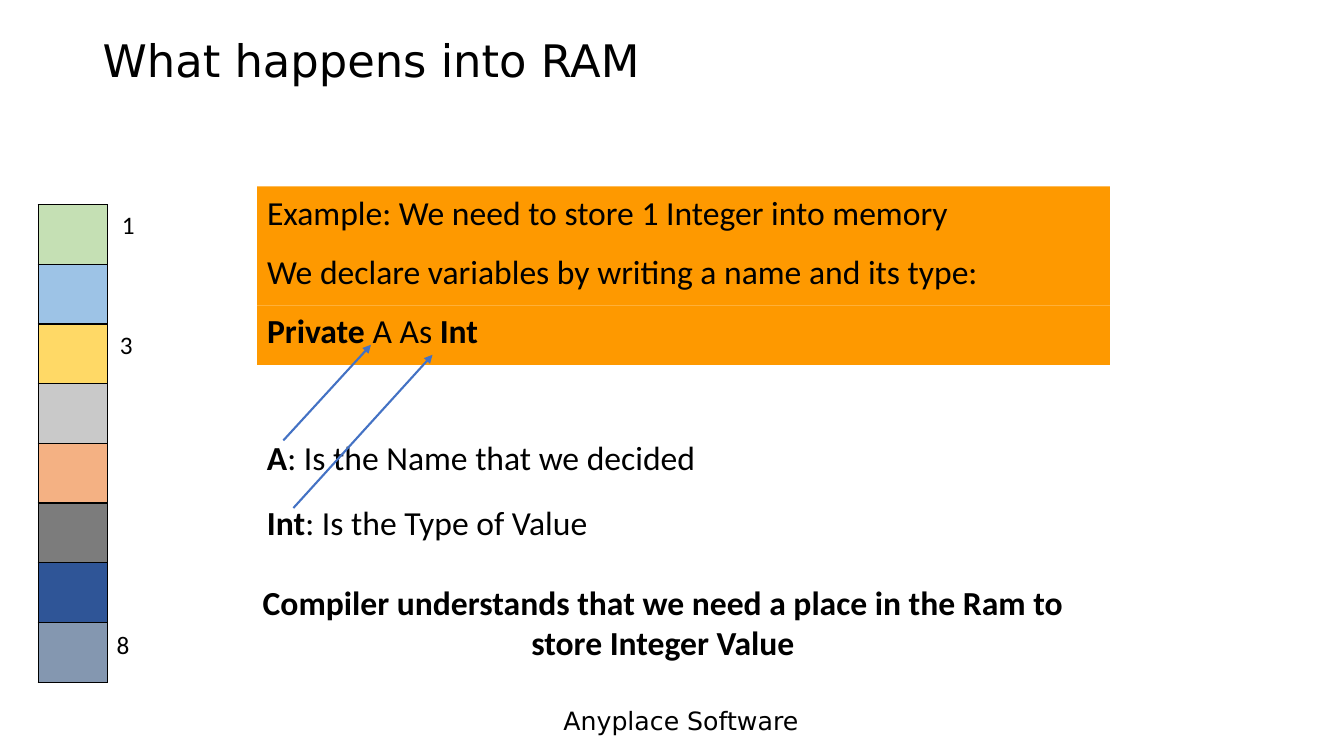
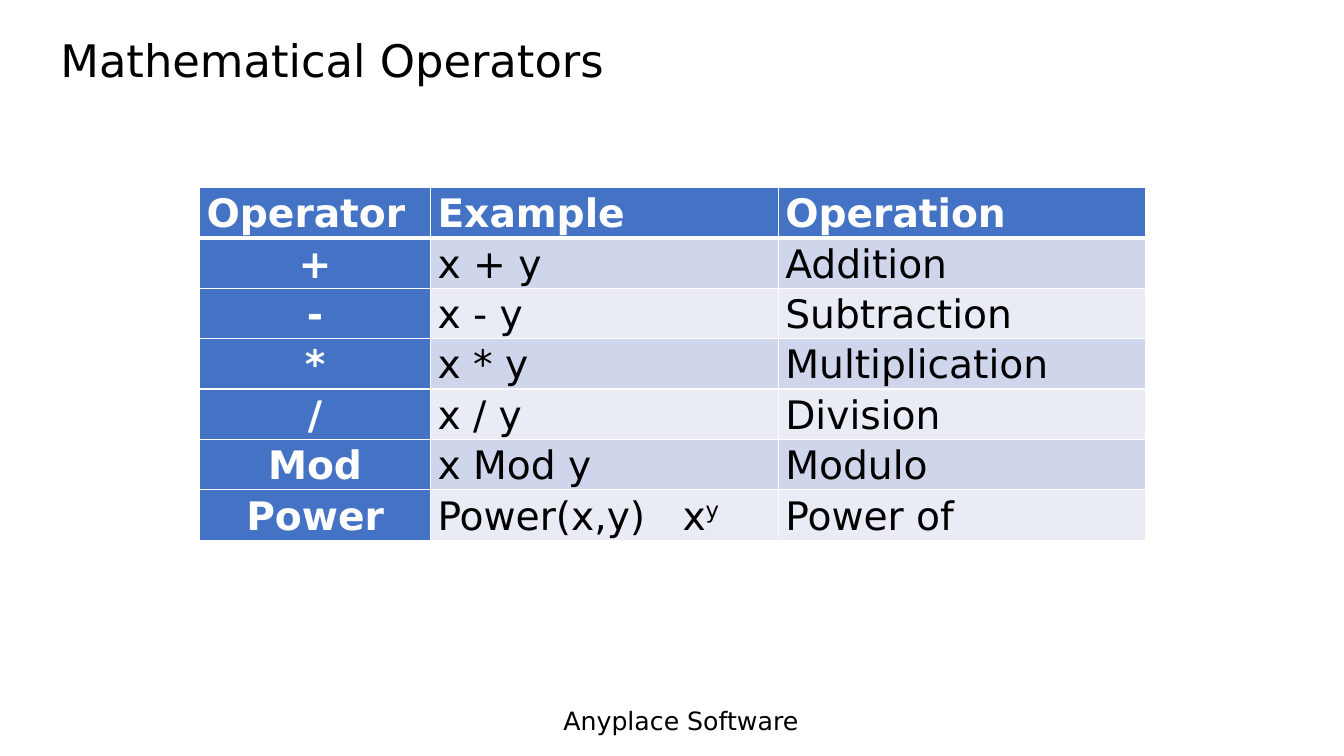
"""Build two lesson slides: variables in RAM and mathematical operators."""
from lxml import etree
from pptx import Presentation
from pptx.dml.color import RGBColor
from pptx.enum.shapes import MSO_CONNECTOR, MSO_SHAPE
from pptx.enum.text import MSO_ANCHOR, PP_ALIGN
from pptx.oxml.ns import qn
from pptx.util import Pt

PX = 9144
RECT, LINE = MSO_SHAPE.RECTANGLE, MSO_CONNECTOR.STRAIGHT
TOP, MIDDLE = MSO_ANCHOR.TOP, MSO_ANCHOR.MIDDLE
LEFT, CENTER = PP_ALIGN.LEFT, PP_ALIGN.CENTER

SANS, BODY = "DejaVu Sans", "Calibri"
BLACK, WHITE, BLUE, ORANGE = "000000", "FFFFFF", "4472C4", "FE9900"
BANDS = ("CFD5EA", "E9EBF5")
FOOTER = "Anyplace Software"

CELLS = ("C5E0B4", "9DC3E6", "FFD966", "C9C9C9",
         "F4B183", "7C7C7C", "2F5597", "8497B0")
MARKS = (("1", 111, 203), ("3", 109, 322), ("8", 106, 619))
LINES = (
    [("Example: We need to store 1 Integer into memory", False)],
    [("We declare variables by writing a name and its type:", False)],
    [("Private", True), (" A As ", False), ("Int", True)],
)
NOTES = (
    [("A", True), (": Is the Name that we decided", False)],
    [("Int", True), (": Is the Type of Value", False)],
)
RESULT = [("Compiler understands that we need a place in the Ram "
           "to store Integer Value", True)]
ARROWS = ((281, 437, 368, 342), (291, 504, 429, 352))

HEADS = ("Operator", "Example", "Operation")
ROWS = (
    ("+", "x + y", "Addition"),
    ("-", "x - y", "Subtraction"),
    ("*", "x * y", "Multiplication"),
    ("/", "x / y", "Division"),
    ("Mod", "x Mod y", "Modulo"),
    ("Power", "Power(x,y)\tx^y", "Power of"),
)
WIDTHS = (229, 345, 364)


def px(*nums):
    return [round(n * PX) for n in nums]


def rgb(code):
    return RGBColor.from_string(code)


def paint(fill, code):
    fill.solid()
    fill.fore_color.rgb = rgb(code)


def style(para, size, face, color=BLACK, bold=None):
    font = para.font
    font.size, font.name, font.bold = Pt(size), face, bold
    font.color.rgb = rgb(color)


def text(slide, box, runs, size=24, face=BODY, align=LEFT, anchor=TOP):
    frame = slide.shapes.add_textbox(*px(*box)).text_frame
    frame.word_wrap, frame.vertical_anchor = True, anchor
    para = frame.paragraphs[0]
    para.alignment = align
    style(para, size, face)
    for words, bold in runs:
        run = para.add_run()
        run.text, run.font.bold = words, bold
    return para


def base(deck, title, left):
    slide = deck.slides.add_slide(deck.slide_layouts[6])
    text(slide, (549, 695, 290, 40), [(FOOTER, False)], 18, SANS)
    para = text(slide, (left, 15, 1242 - left, 95), [(title, False)],
                32, SANS, anchor=MIDDLE)
    para.line_spacing = 0.9
    return slide


def grid(slide, left, top, widths, high, count):
    frame = slide.shapes.add_table(
        count, len(widths), *px(left, top, sum(widths), high * count))
    table = frame.table
    table.first_row = table.horz_banding = False
    for col, wide in zip(table.columns, widths):
        col.width = px(wide)[0]
    for row in table.rows:
        row.height = px(high)[0]
    return table


def dress(cell, fill, edge, thick=()):
    props = cell._tc.get_or_add_tcPr()
    for side in "LRTB":
        width = Pt(3 if side in thick else 1)
        line = etree.SubElement(props, qn(f"a:ln{side}"), w=str(width))
        solid = etree.SubElement(line, qn("a:solidFill"))
        etree.SubElement(solid, qn("a:srgbClr"), val=edge)
    paint(cell.fill, fill)


def arrow(slide, ends):
    link = slide.shapes.add_connector(LINE, *px(*ends))
    link.line.width = Pt(1.5)
    link.line.color.rgb = rgb(BLUE)
    etree.SubElement(link.line._get_or_add_ln(), qn("a:tailEnd"),
                     type="triangle")
    etree.SubElement(link._element.spPr, qn("a:effectLst"))


def write(cell, words, color, bold, align):
    cell.vertical_anchor = MIDDLE
    cell.margin_left = cell.margin_right = px(7)[0]
    cell.margin_top = cell.margin_bottom = 0
    para = cell.text_frame.paragraphs[0]
    if "\t" in words:
        tabs = etree.SubElement(para._p.get_or_add_pPr(), qn("a:tabLst"))
        etree.SubElement(tabs, qn("a:tab"), pos=str(px(243)[0]), algn="l")
    para.alignment, para.line_spacing = align, 1.07
    para.space_after = Pt(8)
    style(para, 28, SANS, color, bold)
    main, _, power = words.partition("^")
    para.add_run().text = main
    if power:
        run = para.add_run()
        run.text = power
        run._r.get_or_add_rPr().set("baseline", "30000")


def memory(deck):
    slide = base(deck, "What happens into RAM", 92)
    tops = [185 + 59 * i for i in range(len(LINES))]
    for top in tops:
        band = slide.shapes.add_shape(RECT, *px(255, top, 846, 59))
        band.shadow.inherit = False
        paint(band.fill, ORANGE)
        band.line.fill.background()
    strip = grid(slide, 38, 203, (69,), 59.25, len(CELLS))
    for i, color in enumerate(CELLS):
        dress(strip.cell(i, 0), color, BLACK)
    for mark, left, top in MARKS:
        text(slide, (left, top, 33, 40), [(mark, False)], 18)
    for top, runs in zip(tops, LINES):
        text(slide, (255, top, 738, 50), runs)
    for i, runs in enumerate(NOTES):
        text(slide, (255, 429 + 64 * i, 500, 50), runs)
    text(slide, (246, 572, 823, 83), RESULT, align=CENTER)
    for ends in ARROWS:
        arrow(slide, ends)


def maths(deck):
    slide = base(deck, "Mathematical Operators", 50)
    table = grid(slide, 198, 186, WIDTHS, 48, len(ROWS) + 1)
    for r, row in enumerate((HEADS, *ROWS)):
        for c, words in enumerate(row):
            head = r == 0 or c == 0
            cell = table.cell(r, c)
            thick = "B" if r == 0 else "T" if r == 1 else ""
            dress(cell, BLUE if head else BANDS[(r - 1) % 2], WHITE, thick)
            write(cell, words, WHITE if head else BLACK, head,
                  CENTER if r and c == 0 else LEFT)


def main():
    deck = Presentation()
    deck.slide_width, deck.slide_height = px(1333, 750)
    memory(deck)
    maths(deck)
    deck.save("out.pptx")


if __name__ == "__main__":
    main()
